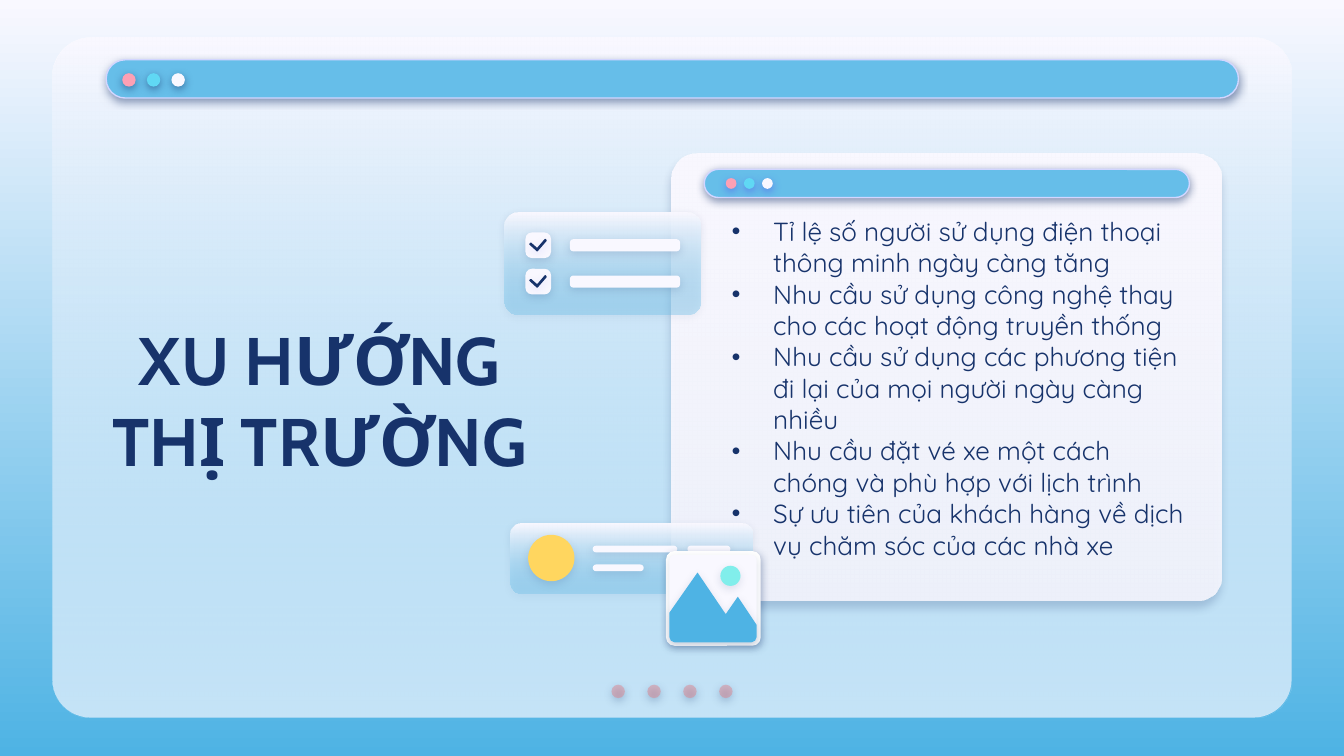
from lxml import etree
from pptx import Presentation
from pptx.dml.color import RGBColor
from pptx.enum.shapes import MSO_SHAPE
from pptx.enum.text import MSO_ANCHOR, PP_ALIGN
from pptx.oxml.ns import qn
from pptx.util import Emu, Inches, Pt

ROUND, OVAL = MSO_SHAPE.ROUNDED_RECTANGLE, MSO_SHAPE.OVAL
MIDDLE, CENTER = MSO_ANCHOR.MIDDLE, PP_ALIGN.CENTER

NAVY = RGBColor(0x17, 0x33, 0x6B)
VIOLET = RGBColor(0x53, 0x52, 0xEE)
PALE = RGBColor(0xF9, 0xF8, 0xFF)
WHITE = RGBColor(0xFF, 0xFF, 0xFF)
SKY = RGBColor(0x66, 0xBE, 0xE9)
BLUE = RGBColor(0x4E, 0xB3, 0xE4)
LILAC = RGBColor(0xD2, 0xD6, 0xFF)
PINK = RGBColor(0xFD, 0xA0, 0xB4)
CYAN = RGBColor(0x60, 0xD8, 0xF4)
ROSE = RGBColor(0xE2, 0x7B, 0x83)
YELLOW = RGBColor(0xFF, 0xD6, 0x5F)
MINT = RGBColor(0x81, 0xEE, 0xEB)

prs = Presentation()
prs.slide_width = Inches(10)
prs.slide_height = prs.slide_width * 9 // 16
slide = prs.slides.add_slide(prs.slide_layouts[6])
shapes = slide.shapes
UNIT = prs.slide_width / 100  # the grid has 100 columns, and rows of the same size
FINE = 100  # outline points are whole hundredths of a column

# Shadows: colour, opacity %, distance in points, direction in degrees
STRONG = (NAVY, 50, 1.5, 90)
GLOW = (VIOLET, 50, 1.5, 90)
SOFT = (NAVY, 15, 1.5, 90)
FAINT = (NAVY, 13, 1.5, 90)


def paint(shape, fill, shadow=None, line=None, alpha=100):
    """Fill a shape; with a (top, bottom) pair, alpha is that of the bottom."""
    if isinstance(fill, tuple) and not isinstance(fill, RGBColor):
        shape.fill.gradient()
        shape.fill.gradient_angle = 270
        for stop, color in zip(shape.fill.gradient_stops, fill):
            stop.color.rgb = color
    else:
        shape.fill.solid()
        shape.fill.fore_color.rgb = fill
    if alpha < 100:
        last = list(shape._element.spPr.iter(qn("a:srgbClr")))[-1]
        etree.SubElement(last, qn("a:alpha"), val=str(alpha * 1000))
    if line:
        shape.line.color.rgb = line
        shape.line.width = Pt(0.75)
    else:
        shape.line.fill.background()
    shape.shadow.inherit = False
    if shadow:
        color, opacity, distance, direction = shadow
        effects = shape._element.spPr.find(qn("a:effectLst"))
        outer = etree.SubElement(
            effects, qn("a:outerShdw"), blurRad=str(Pt(4.5)), dist=str(Pt(distance)),
            dir=str(direction * 60000), algn="bl", rotWithShape="0")
        tint = etree.SubElement(outer, qn("a:srgbClr"), val=str(color))
        etree.SubElement(tint, qn("a:alpha"), val=str(opacity * 1000))


def place(kind, at, fill, shadow=None, corner=None, **look):
    """Add a preset shape at grid columns and rows."""
    shape = shapes.add_shape(kind, *(Emu(round(v * UNIT)) for v in at))
    if corner is not None:
        shape.adjustments[0] = corner
    paint(shape, fill, shadow, **look)


# Background
backdrop = slide.background.fill
backdrop.gradient()
backdrop.gradient_angle = 270
for stop, color in zip(backdrop.gradient_stops, (PALE, BLUE)):
    stop.color.rgb = color

# Large window with page dots
WINDOW = (3.9, 2.8, 92.2, 50.6)
place(ROUND, WINDOW, PALE, corner=0.056)
place(ROUND, WINDOW, (PALE, SKY), corner=0.056, alpha=35)
for i in range(4):
    place(OVAL, (45.5 + i * 2.67, 50.95, 1, 1), ROSE, STRONG, alpha=44)

# Text panel
place(ROUND, (49.95, 11.45, 40.95, 33.25), (PALE, PALE), (NAVY, 22, 3.8, 91),
      corner=0.056, alpha=87)

# Title bars with three buttons: bar, first button, button size, step, shadow
for bar, (left, top), size, step, shadow in (
        ((7.9, 4.45, 84.25, 2.85), (9.1, 5.45), 1, 1.83, STRONG),
        ((52.4, 12.6, 36.1, 2.1), (54, 13.25), 0.8, 1.35, GLOW)):
    place(ROUND, bar, SKY, STRONG, corner=0.5, line=LILAC)
    for i, color in enumerate((PINK, CYAN, PALE)):
        place(OVAL, (left + i * step, top, size, size), color, shadow)

# Heading and list: box, bottom inset, font, size, alignment, paragraphs
TRENDS = (
    "Tỉ lệ số người sử dụng điện thoại thông minh ngày càng tăng",
    "Nhu cầu sử dụng công nghệ thay cho các hoạt động truyền thống",
    "Nhu cầu sử dụng các phương tiện đi lại của mọi người ngày càng nhiều",
    "Nhu cầu đặt vé xe một cách chóng và phù hợp với lịch trình",
    "Sự ưu tiên của khách hàng về dịch vụ chăm sóc của các nhà xe",
)
for at, inset, font, size, align, lines in (
        ((6.6, 21.9, 34.4, 15.6), 0.1, "Cabin", 36, CENTER, ("XU HƯỚNG THỊ TRƯỜNG",)),
        ((53.45, 18.9, 36.2, 24.6), 0.57, "Quicksand", 14, None, TRENDS)):
    frame = shapes.add_textbox(*(Emu(round(v * UNIT)) for v in at)).text_frame
    frame.word_wrap = True
    frame.vertical_anchor = MIDDLE
    frame.margin_left = frame.margin_right = frame.margin_top = Inches(0.1)
    frame.margin_bottom = Inches(inset)
    for i, words in enumerate(lines):
        paragraph = frame.add_paragraph() if i else frame.paragraphs[0]
        if lines is TRENDS:
            props = paragraph._p.get_or_add_pPr()
            props.set("marL", str(Inches(0.31)))
            props.set("indent", str(-Inches(0.31)))
            tint = etree.SubElement(props, qn("a:buClr"))
            etree.SubElement(tint, qn("a:srgbClr"), val=str(NAVY))
            etree.SubElement(props, qn("a:buFont"), typeface=font)
            etree.SubElement(props, qn("a:buChar"), char="•")
        paragraph.alignment = align
        run = paragraph.add_run()
        run.text = words
        run.font.name, run.font.size = font, Pt(size)
        run.font.bold = align == CENTER
        run.font.color.rgb = NAVY

# Checklist card
place(ROUND, (37.55, 15.8, 14.55, 7.6), (PALE, SKY), SOFT, corner=0.13, alpha=35)
for drop in (0, 2.7):
    place(ROUND, (42.4, 17.8 + drop, 8.2, 0.9), PALE, SOFT, corner=0.28)
    place(ROUND, (39.1, 17.3 + drop, 1.9, 1.9), PALE, SOFT, corner=0.25)

# Profile card
place(ROUND, (38, 38.95, 17.95, 5.2), (PALE, SKY), FAINT, corner=0.15, alpha=35)
place(OVAL, (39.3, 39.8, 3.45, 3.45), YELLOW, FAINT)
for left, top, width in ((44.1, 40.6, 6.3), (51.15, 40.6, 3.2), (44.1, 42, 3.8)):
    place(ROUND, (left, top, width, 0.5), PALE, FAINT, corner=0.5)

# Landscape tile
place(ROUND, (49.55, 41, 7.05, 7.05), WHITE, (NAVY, 33, 1.5, 64), corner=0.09)
place(ROUND, (49.8, 41.3, 6.5, 6.5), PALE, FAINT, corner=0.06)
place(OVAL, (53.6, 42.1, 1.5, 1.5), MINT, FAINT)

# Check marks and mountains
TICK = ((40.57, 17.82), (39.97, 18.52), (39.5, 18.1), (39.43, 18.17),
        (39.97, 18.66), (40.63, 17.9))
PEAKS = ((51.9, 42.6), (49.8, 45.6), (49.8, 47.4), (49.92, 47.68), (50.2, 47.8),
         (55.9, 47.8), (56.18, 47.68), (56.3, 47.4), (56.3, 46.5), (54.9, 44.4),
         (54, 45.7))
TICK_SHADOW = (VIOLET, 15, 1.5, 90)
for outline, drop, color, shadow, line in (
        (TICK, 0, NAVY, TICK_SHADOW, NAVY),
        (TICK, 2.7, NAVY, TICK_SHADOW, NAVY),
        (PEAKS, 0, BLUE, FAINT, None)):
    points = [(round(x * FINE), round((y + drop) * FINE)) for x, y in outline]
    builder = shapes.build_freeform(*points[0], scale=UNIT / FINE)
    builder.add_line_segments(points[1:])
    paint(builder.convert_to_shape(), color, shadow, line=line)

prs.save("out.pptx")
